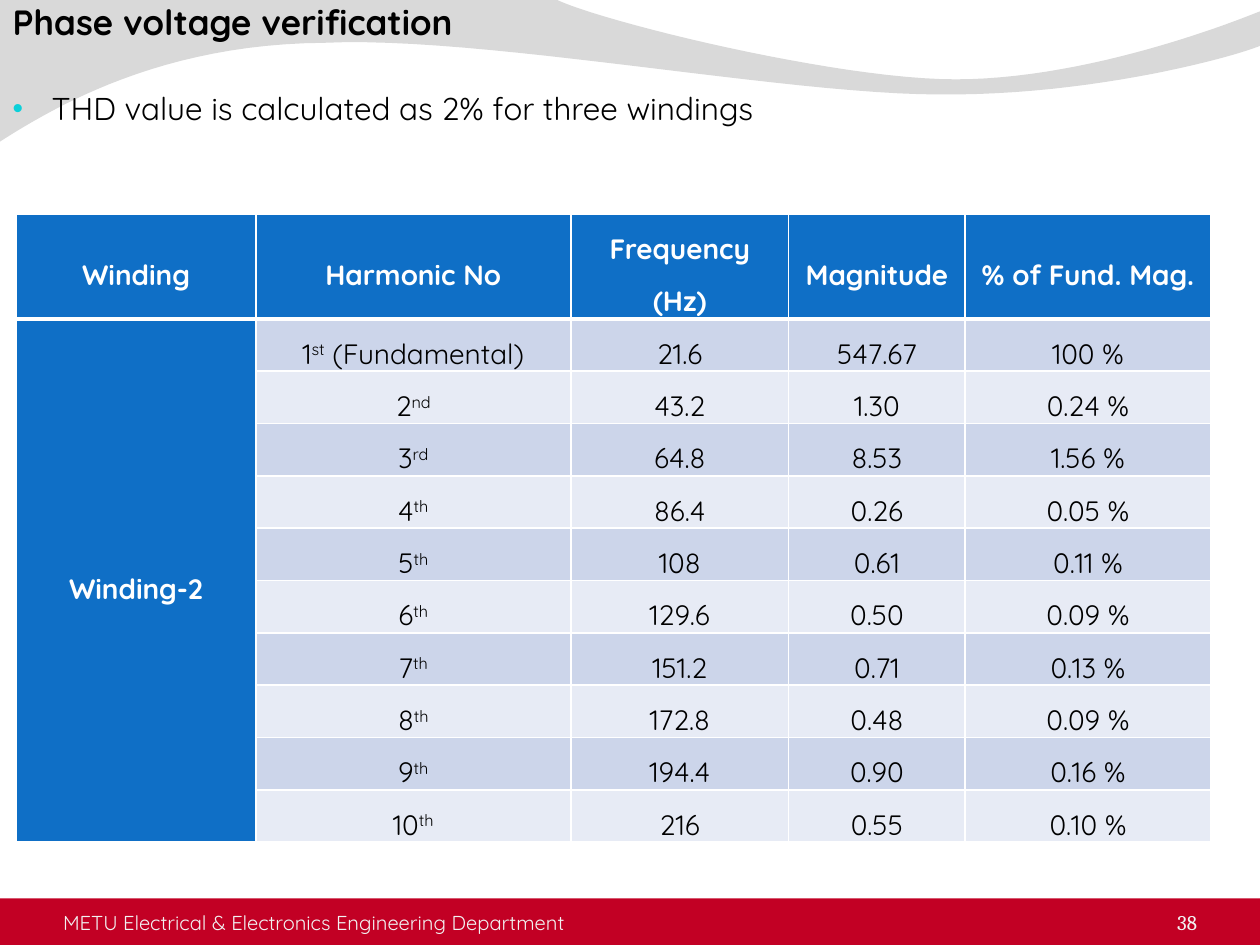
from dataclasses import dataclass

from lxml import etree
from pptx import Presentation
from pptx.dml.color import RGBColor
from pptx.enum.shapes import MSO_SHAPE
from pptx.enum.text import MSO_ANCHOR, MSO_AUTO_SIZE, PP_ALIGN
from pptx.oxml.ns import qn
from pptx.util import Inches, Pt

RECT = MSO_SHAPE.RECTANGLE
TOP, MIDDLE, BOTTOM = MSO_ANCHOR.TOP, MSO_ANCHOR.MIDDLE, MSO_ANCHOR.BOTTOM
LEFT, CENTER, RIGHT = PP_ALIGN.LEFT, PP_ALIGN.CENTER, PP_ALIGN.RIGHT
JUSTIFY = PP_ALIGN.JUSTIFY
NO_FIT = MSO_AUTO_SIZE.NONE


@dataclass(frozen=True)
class Theme:
    font: str = "Quicksand"
    serif: str = "Cambria"
    ink: str = "000000"
    white: str = "FFFFFF"
    pale: str = "F2F2F2"
    red: str = "C20024"
    gray: str = "D9D9D9"
    blue: str = "0F6FC6"
    dot: str = "0BD0D9"
    bands: tuple = ("CCD5EA", "E7EBF5")
    title: float = 20
    body: float = 18
    cell: float = 16
    foot: float = 11.5
    page: float = 12


def curve(a, b, c, d, steps=24):
    """Points along a cubic curve, without its start."""
    for i in range(1, steps + 1):
        t = i / steps
        u = 1 - t
        yield tuple(
            u**3 * p + 3 * u * u * t * q + 3 * u * t * t * r + t**3 * s
            for p, q, r, s in zip(a, b, c, d)
        )


class Deck:
    def __init__(self, theme):
        self.theme = theme
        self.file = Presentation()
        self.file.slide_width = Inches(10)
        self.file.slide_height = Inches(7.5)
        self.slide = self.file.slides.add_slide(self.file.slide_layouts[1])
        self.shapes = self.slide.shapes

    def paint(self, shape, color):
        shape.shadow.inherit = False
        shape.fill.solid()
        shape.fill.fore_color.rgb = RGBColor.from_string(color)
        shape.line.fill.background()

    def bar(self, box, color):
        self.paint(self.shapes.add_shape(RECT, *map(Inches, box)), color)

    def wave(self, start, parts, color):
        """Each part is one point (a line) or three (a curve)."""
        pts = [start]
        for part in parts:
            pts.extend(part if len(part) == 1 else curve(pts[-1], *part))
        pen = self.shapes.build_freeform(*map(Inches, start), scale=1)
        pen.add_line_segments([tuple(map(Inches, p)) for p in pts[1:]])
        self.paint(pen.convert_to_shape(), color)

    def run(self, para, text, size, color, font=None, bold=False, sup=False):
        run = para.add_run()
        run.text = text
        run.font.name = font or self.theme.font
        run.font.size = Pt(size)
        run.font.bold = bold
        run.font.color.rgb = RGBColor.from_string(color)
        if sup:
            run._r.get_or_add_rPr().set("baseline", "30000")

    def frame(self, shape, box, pads, anchor, align):
        """Place a text shape and return its first paragraph."""
        shape.left, shape.top, shape.width, shape.height = map(Inches, box)
        text = shape.text_frame
        text.word_wrap = True
        text.auto_size = NO_FIT
        text.vertical_anchor = anchor
        (text.margin_left, text.margin_top,
         text.margin_right, text.margin_bottom) = map(Inches, pads)
        para = text.paragraphs[0]
        para.alignment = align
        para.space_before = Pt(0)
        return para

    def front(self, shape):
        shape.element.getparent().append(shape.element)

    def label(self, box, text, align, size, font):
        shape = self.shapes.add_textbox(*map(Inches, box))
        para = self.frame(shape, box, (0, 0, 0, 0), BOTTOM, align)
        self.run(para, text, size, self.theme.pale, font)

    def title(self, box, text):
        shape = self.shapes.title
        para = self.frame(shape, box, (0.1, 0, 0.1, 0.05), TOP, LEFT)
        self.run(para, text, self.theme.title, self.theme.ink, bold=True)
        self.front(shape)

    def body(self, box, text):
        shape = self.slide.placeholders[1]
        para = self.frame(shape, box, (0.1, 0, 0.1, 0.05), TOP, JUSTIFY)
        props = para._p.get_or_add_pPr()
        props.set("marL", str(Inches(0.31)))
        props.set("indent", str(Inches(-0.31)))
        tint = etree.SubElement(props, qn("a:buClr"))
        etree.SubElement(tint, qn("a:srgbClr"), val=self.theme.dot)
        etree.SubElement(props, qn("a:buSzPct"), val="95000")
        etree.SubElement(props, qn("a:buFont"), typeface="Arial")
        etree.SubElement(props, qn("a:buChar"), char="•")
        self.run(para, text, self.theme.body, self.theme.ink)
        self.front(shape)

    def border(self, cell, row):
        props = cell._tc.get_or_add_tcPr()
        wide = {"T": row == 1, "B": row == 0}
        for side in "LRTB":
            width = Pt(3 if wide.get(side) else 1)
            line = etree.SubElement(props, qn("a:ln" + side), w=str(width))
            fill = etree.SubElement(line, qn("a:solidFill"))
            etree.SubElement(fill, qn("a:srgbClr"), val=self.theme.white)

    def cell(self, cell, text, row, head):
        """Odd pieces between bars are raised."""
        theme = self.theme
        self.border(cell, row)
        cell.fill.solid()
        color = theme.blue if head else theme.bands[(row - 1) % 2]
        cell.fill.fore_color.rgb = RGBColor.from_string(color)
        cell.vertical_anchor = MIDDLE
        cell.margin_left = cell.margin_right = Inches(0.07)
        cell.margin_top = cell.margin_bottom = 0
        para = cell.text_frame.paragraphs[0]
        para.alignment = CENTER
        para.line_spacing = 1.5
        ink = theme.white if head else theme.ink
        for i, piece in enumerate(text.split("|")):
            if piece:
                self.run(para, piece, theme.cell, ink, bold=head, sup=i % 2 == 1)

    def table(self, box, cols, highs, rows):
        shape = self.shapes.add_table(len(rows), len(cols), *map(Inches, box))
        grid = shape.table
        grid.horz_banding = False
        for col, width in zip(grid.columns, cols):
            col.width = Inches(width)
        for row, high in zip(grid.rows, highs):
            row.height = Inches(high)
        for r, row in enumerate(rows):
            for c, text in enumerate(row):
                self.cell(grid.cell(r, c), text, r, r == 0 or c == 0)
        grid.cell(1, 0).merge(grid.cell(len(rows) - 1, 0))


HEAD = ("Winding", "Harmonic No", "Frequency (Hz)", "Magnitude", "% of Fund. Mag.")
DATA = [
    ("1|st| (Fundamental)", "21.6", "547.67", "100 %"),
    ("2|nd", "43.2", "1.30", "0.24 %"),
    ("3|rd", "64.8", "8.53", "1.56 %"),
    ("4|th", "86.4", "0.26", "0.05 %"),
    ("5|th", "108", "0.61", "0.11 %"),
    ("6|th", "129.6", "0.50", "0.09 %"),
    ("7|th", "151.2", "0.71", "0.13 %"),
    ("8|th", "172.8", "0.48", "0.09 %"),
    ("9|th", "194.4", "0.90", "0.16 %"),
    ("10|th", "216", "0.55", "0.10 %"),
]
WAVE = [
    [(4.4, -0.01)],
    [(4.76, 0.17), (6.64, 0.63), (7.58, 0.63)],
    [(8.53, 0.63), (9.58, 0.26), (10, 0.09)],
    [(10.01, 0.36)],
    [(9.83, 0.44), (8.7, 0.76), (7.46, 0.75)],
    [(6.22, 0.75), (3.82, 0.28), (2.57, 0.34)],
    [(1.29, 0.35), (0.46, 0.83), (-0.01, 1.13)],
]


def main():
    theme = Theme()
    deck = Deck(theme)

    # Footer band and top wave
    deck.bar((0, 7.13, 10, 0.37), theme.red)
    deck.wave((0, -0.01), WAVE, theme.gray)
    deck.label((8.87, 7.13, 0.63, 0.29), "38", RIGHT, theme.page, theme.serif)
    deck.label((0.5, 7.13, 4.38, 0.29),
               "METU Electrical & Electronics Engineering Department",
               LEFT, theme.foot, theme.font)

    # Title, harmonics table and finding
    deck.title((0, 0, 5.26, 0.54), "Phase voltage verification")
    rows = [HEAD] + [("" if i else "Winding-2", *row) for i, row in enumerate(DATA)]
    deck.table((0.13, 1.7, 9.48, 4.81), (1.9, 2.5, 1.73, 1.4, 1.95),
               [0.59, 0.41] + [0.32] * 9, rows)
    deck.body((0, 0.71, 10, 0.47), "THD value is calculated as 2% for three windings")

    deck.file.save("out.pptx")


if __name__ == "__main__":
    main()
